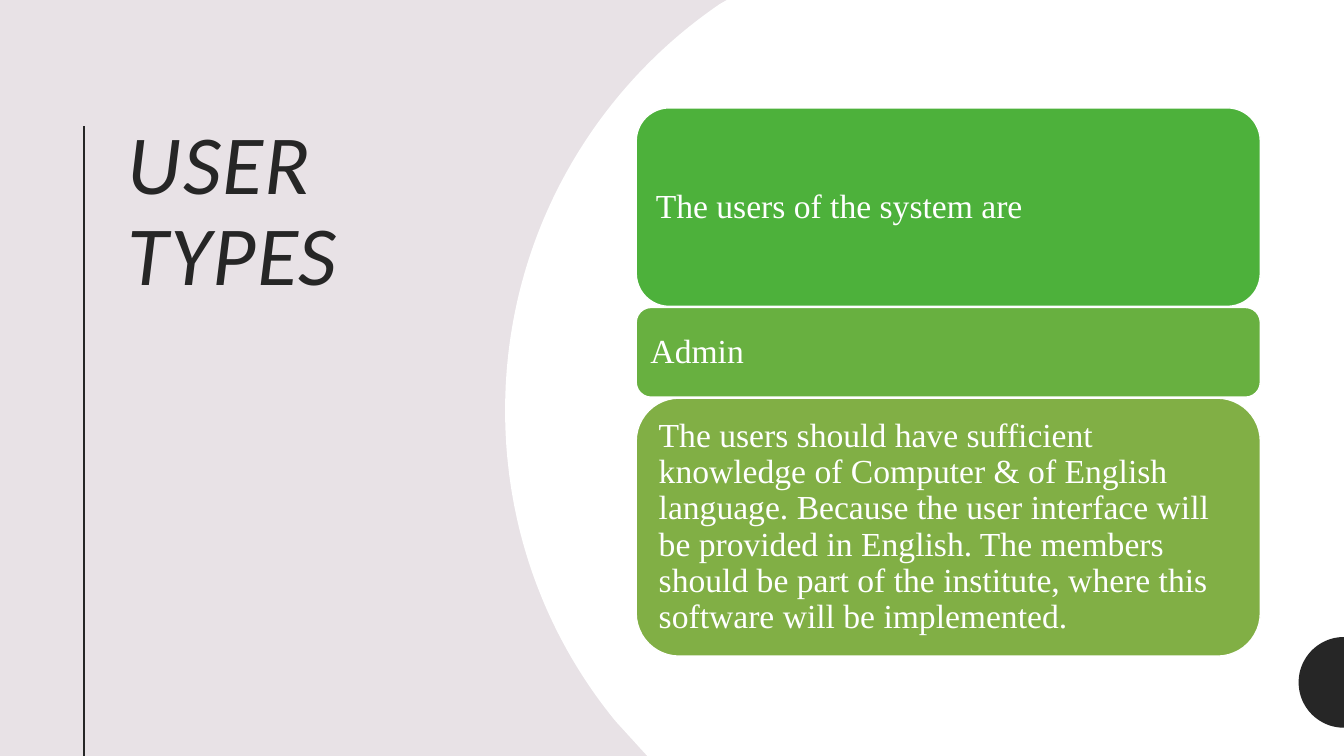
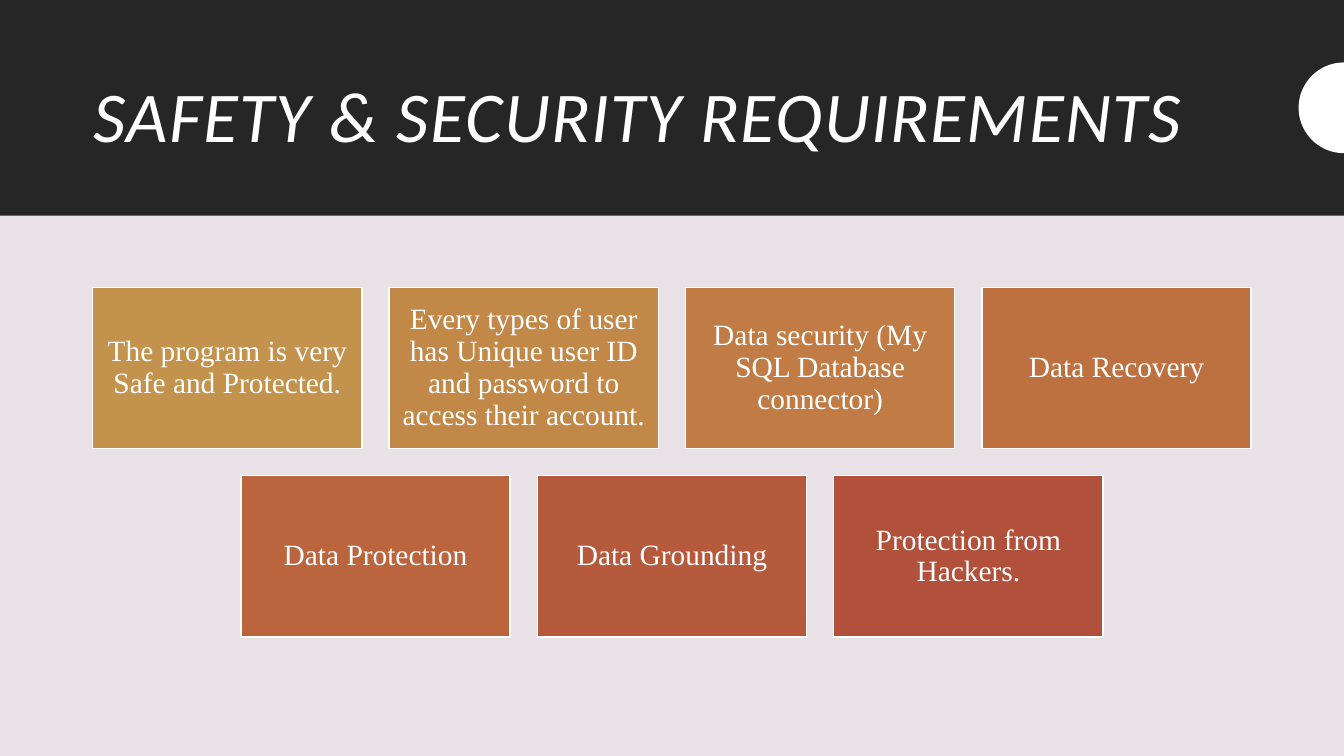
import math
from dataclasses import dataclass

import pptx
import pptx.dml.color
import pptx.enum.shapes
import pptx.enum.text
import pptx.util

Inches = pptx.util.Inches
Shapes = pptx.enum.shapes.MSO_SHAPE
Align = pptx.enum.text.PP_ALIGN
Anchor = pptx.enum.text.MSO_ANCHOR
Point = tuple[float, float]

WIDTH, HEIGHT = 13.33, 7.5
DARK, LIGHT, WHITE = "262626", "E8E2E6", "FFFFFF"
TITLE_FONT, BODY_FONT = "Calibri", "Times New Roman"


@dataclass
class Frame:
    left: float
    top: float
    width: float
    height: float

    def lengths(self) -> list:
        return [Inches(v) for v in (self.left, self.top, self.width, self.height)]


@dataclass
class Panel:
    text: str
    color: str
    height: float = 1.6


@dataclass
class PanelStyle:
    shape: int
    size: float
    inset: float
    align: int


ROUNDED = PanelStyle(Shapes.ROUNDED_RECTANGLE, 24, 0.1, Align.LEFT)
TILE = PanelStyle(Shapes.RECTANGLE, 21, 0.09, Align.CENTER)

USER_PANELS = [
    Panel("The users of the system are", "4DB13B", 1.97),
    Panel("Admin", "68B040", 0.89),
    Panel("The users should have sufficient knowledge of Computer & of English "
          "language. Because the user interface will be provided in English. "
          "The members should be part of the institute, where this software "
          "will be implemented.", "81AF45", 2.56),
]

SAFETY_ROWS = [
    [
        Panel("The program is very Safe and Protected.", "C3934D"),
        Panel("Every types of user has Unique user ID and password to access "
              "their account.", "C28848"),
        Panel("Data security (My SQL Database connector)", "C07C44"),
        Panel("Data Recovery", "BE7140"),
    ],
    [
        Panel("Data Protection", "BA653E"),
        Panel("Data Grounding", "B55A3D"),
        Panel("Protection from Hackers.", "B1503B"),
    ],
]


def rgb(color: str) -> pptx.dml.color.RGBColor:
    return pptx.dml.color.RGBColor.from_string(color)


# Shared drawing
def paint(shape, fill: str, line: str | None = None) -> None:
    shape.shadow.inherit = False
    shape.fill.solid()
    shape.fill.fore_color.rgb = rgb(fill)
    if line:
        shape.line.color.rgb = rgb(line)
        shape.line.width = pptx.util.Pt(1)
    else:
        shape.line.fill.background()


def write(para, text: str, font: str, size: float, color: str) -> None:
    para.text = text
    para.line_spacing = 0.9
    para.font.name = font
    para.font.size = pptx.util.Pt(size)
    para.font.color.rgb = rgb(color)


def add_page(deck):
    page = deck.slides.add_slide(deck.slide_layouts[6])
    page.background.fill.solid()
    page.background.fill.fore_color.rgb = rgb(LIGHT)
    return page


def add_title(page, text: str, frame: Frame, size: float, color: str, anchor: int) -> None:
    box = page.shapes.add_textbox(*frame.lengths())
    box.text_frame.word_wrap = True
    box.text_frame.vertical_anchor = anchor
    para = box.text_frame.paragraphs[0]
    write(para, text, TITLE_FONT, size, color)
    para.font.italic = True
    para.runs[0].font._element.set("spc", "100")


def add_outline(page, points: list[Point], fill: str) -> None:
    corners = [(Inches(x), Inches(y)) for x, y in points]
    builder = page.shapes.build_freeform(*corners[0], scale=1.0)
    builder.add_line_segments(corners[1:], close=True)
    paint(builder.convert_to_shape(), fill)


def add_half_disc(page, middle: float, fill: str, radius: float = 0.45) -> None:
    """Half disc against the right edge of the page."""
    angles = [math.pi * step / 60 for step in range(61)]
    add_outline(page, [(WIDTH - radius * math.sin(a), middle - radius * math.cos(a))
                       for a in angles], fill)


def add_panel(page, panel: Panel, frame: Frame, style: PanelStyle) -> None:
    box = page.shapes.add_shape(style.shape, *frame.lengths())
    paint(box, panel.color, WHITE)
    body = box.text_frame
    body.word_wrap = True
    body.vertical_anchor = Anchor.MIDDLE
    body.margin_left = body.margin_right = Inches(style.inset)
    body.margin_top = body.margin_bottom = Inches(style.inset)
    para = body.paragraphs[0]
    para.alignment = style.align
    write(para, panel.text, BODY_FONT, style.size, WHITE)


def bezier(start: Point, pull: Point, push: Point, end: Point, steps: int = 60) -> list[Point]:
    def at(t: float, axis: int) -> float:
        u = 1 - t
        return (u ** 3 * start[axis] + 3 * u * u * t * pull[axis]
                + 3 * u * t * t * push[axis] + t ** 3 * end[axis])

    return [(at(i / steps, 0), at(i / steps, 1)) for i in range(steps + 1)]


# Slides
def add_user_types(deck) -> None:
    page = add_page(deck)
    add_title(page, "USER TYPES", Frame(1.17, 1.16, 3.41, 5.26), 60, DARK, Anchor.TOP)

    rule = page.shapes.add_connector(
        pptx.enum.shapes.MSO_CONNECTOR.STRAIGHT,
        Inches(0.83), Inches(1.25), Inches(0.83), Inches(HEIGHT))
    rule.line.color.rgb = rgb(DARK)
    rule.line.width = pptx.util.Pt(1.5)
    properties = rule._element.spPr
    properties.append(properties.makeelement(pptx.oxml.ns.qn("a:effectLst"), {}))

    # White area with a curved left edge
    curve = bezier((6.11, 7.16), (5.42, 6.32), (5.01, 5.25), (5.01, 4.07))
    curve += bezier((5.01, 4.07), (5.01, 2.4), (5.85, 0.92), (7.14, 0.04))[1:]
    add_outline(page, [(7.21, 0), (WIDTH, 0), (WIDTH, HEIGHT), (6.42, HEIGHT), *curve], WHITE)
    add_half_disc(page, 6.77, DARK)

    top, gap = 1.07, 0.01
    for panel in USER_PANELS:
        add_panel(page, panel, Frame(6.31, top, 6.19, panel.height), ROUNDED)
        top += panel.height + gap


def add_safety(deck) -> None:
    page = add_page(deck)
    band = page.shapes.add_shape(Shapes.RECTANGLE, *Frame(0, 0, WIDTH, 2.14).lengths())
    paint(band, DARK)
    add_title(page, "SAFETY & SECURITY REQUIREMENTS", Frame(0.83, 0.46, 11.67, 1.45),
              51, WHITE, Anchor.MIDDLE)
    add_half_disc(page, 1.07, WHITE)

    # Each row of tiles is centred on the page
    width, gap, top = 2.67, 0.27, 2.85
    for row in SAFETY_ROWS:
        left = (WIDTH - len(row) * (width + gap) + gap) / 2
        for column, panel in enumerate(row):
            frame = Frame(left + column * (width + gap), top, width, panel.height)
            add_panel(page, panel, frame, TILE)
        top += row[0].height + gap


def main() -> None:
    deck = pptx.Presentation()
    deck.slide_width, deck.slide_height = Inches(WIDTH), Inches(HEIGHT)
    add_user_types(deck)
    add_safety(deck)
    deck.save("out.pptx")


if __name__ == "__main__":
    main()
